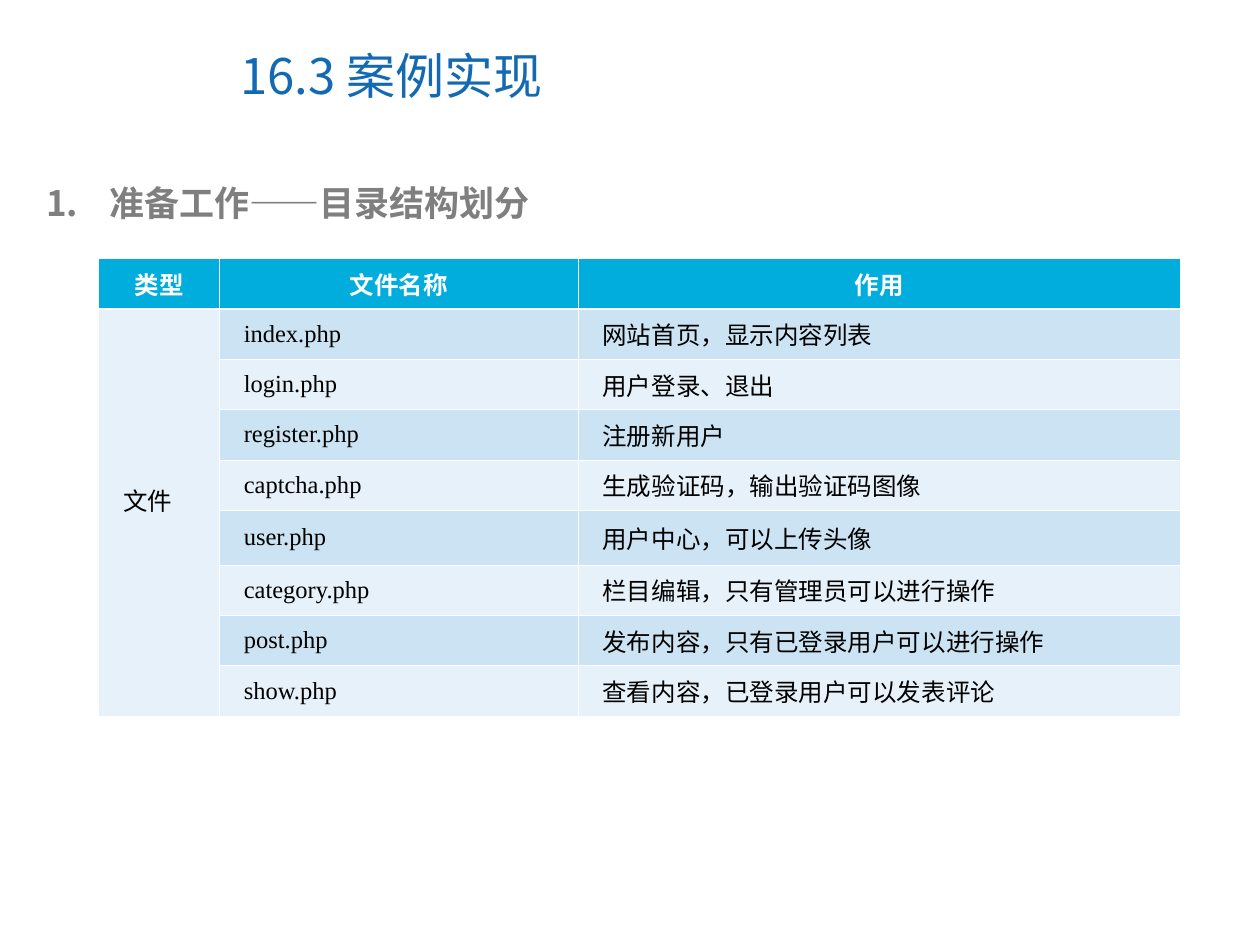
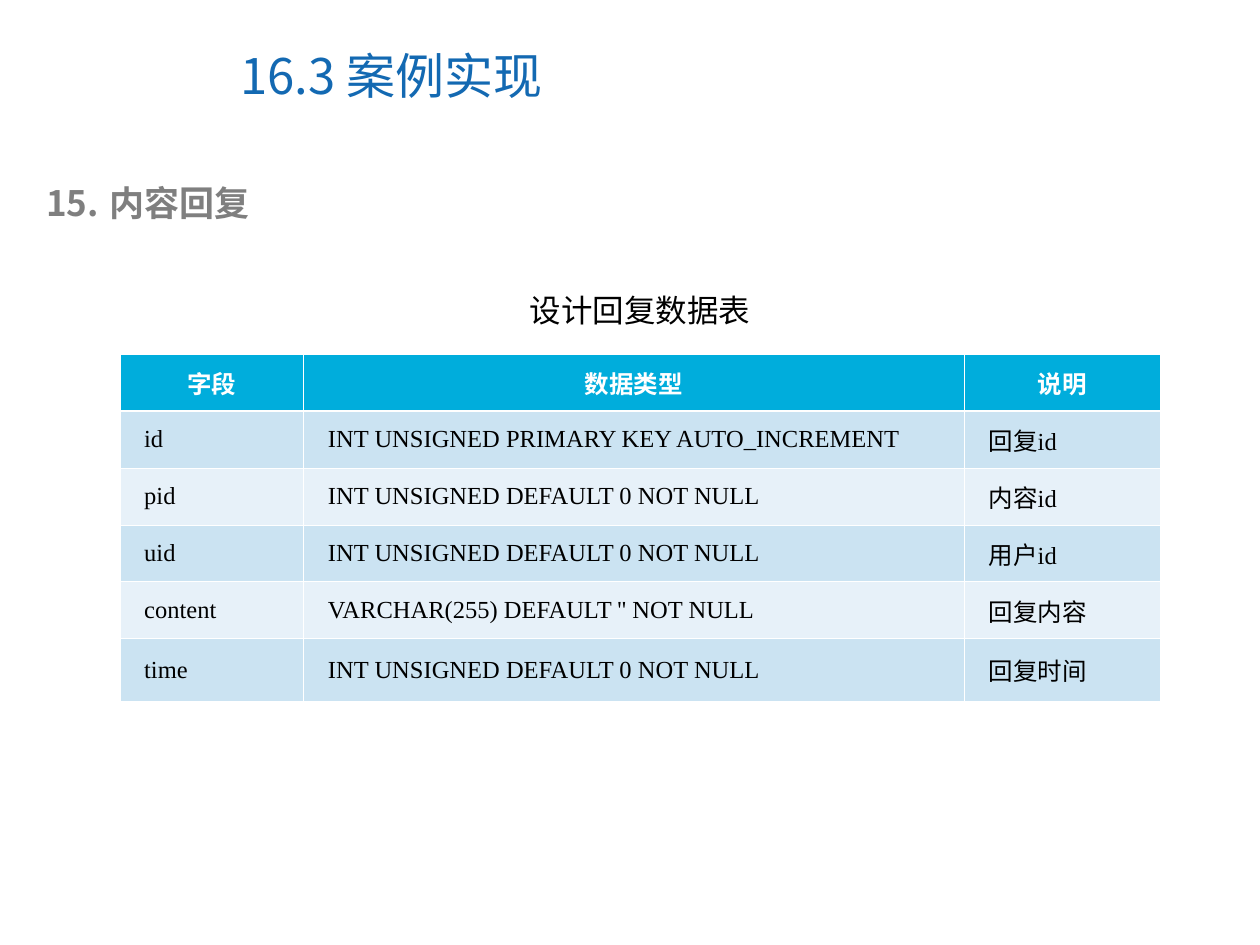
"""Build two case-study slides, each with a numbered heading and a banded table."""
from lxml import etree
from pptx import Presentation
from pptx.dml.color import RGBColor
from pptx.enum import text as t
from pptx.oxml import ns
from pptx.util import Pt

CJK, SERIF = "Noto Sans CJK SC", "Times New Roman"
WHITE, BLACK, BLUE, GREY = "FFFFFF", "000000", "1369B2", "7F7F7F"
HEADER, BANDS = "00ADDC", ("E7F1F9", "CBE3F2")
THIN, THICK = 0.45, 1.47


def color(value):
    return RGBColor.from_string(value)


def write(frame, words, size=14, font=SERIF, fill=BLACK, bold=False,
          align=None, spacing=None, indent=0, number=None):
    frame.word_wrap = True
    para = frame.paragraphs[0]
    para.alignment = align
    para.line_spacing = spacing
    properties = para._p.get_or_add_pPr()
    if indent:
        properties.set("marL", str(Pt(indent)))
    if number:
        properties.set("indent", str(-Pt(indent)))
        bullet_color = etree.SubElement(properties, ns.qn("a:buClr"))
        etree.SubElement(bullet_color, ns.qn("a:srgbClr"), val=fill)
        etree.SubElement(properties, ns.qn("a:buAutoNum"), type="arabicPeriod", startAt=str(number))
    span = para.add_run()
    span.text = words
    span.font.size, span.font.bold, span.font.name = Pt(size), bold, font
    span.font.color.rgb = color(fill)
    etree.SubElement(span._r.get_or_add_rPr(), ns.qn("a:ea"), typeface=CJK)


files = [
    ("类型", "文件名称", "作用"),
    ("文件", "index.php", "网站首页，显示内容列表"),
    (None, "login.php", "用户登录、退出"),
    (None, "register.php", "注册新用户"),
    (None, "captcha.php", "生成验证码，输出验证码图像"),
    (None, "user.php", "用户中心，可以上传头像"),
    (None, "category.php", "栏目编辑，只有管理员可以进行操作"),
    (None, "post.php", "发布内容，只有已登录用户可以进行操作"),
    (None, "show.php", "查看内容，已登录用户可以发表评论"),
]
number_type = "INT UNSIGNED DEFAULT 0 NOT NULL"
fields = [
    ("字段", "数据类型", "说明"),
    ("id", "INT UNSIGNED PRIMARY KEY AUTO_INCREMENT", "回复id"),
    ("pid", number_type, "内容id"),
    ("uid", number_type, "用户id"),
    ("content", "VARCHAR(255) DEFAULT '' NOT NULL", "回复内容"),
    ("time", number_type, "回复时间"),
]
slides = [
    dict(number=1, heading="准备工作——目录结构划分", caption=None, rows=files, left=56.4, top=147.8,
         widths=(69, 205, 344.2), height=28.75, tall_row=5, tall=31.4),
    dict(number=15, heading="内容回复", caption="设计回复数据表", rows=fields, left=68.5, top=202.3,
         widths=(105, 377.5, 112), height=32.55, tall_row=5, tall=35.8),
]

deck = Presentation()
deck.slide_width, deck.slide_height = Pt(720), Pt(540)

for content in slides:
    page = deck.slides.add_slide(deck.slide_layouts[6])

    title = page.shapes.add_textbox(Pt(130.3), Pt(12.2), Pt(371.5), Pt(61.2))
    title.text_frame.vertical_anchor = t.MSO_ANCHOR.MIDDLE
    write(title.text_frame, "16.3 案例实现", size=28, font=CJK, fill=BLUE)

    heading = page.shapes.add_textbox(Pt(19.4), Pt(100.1), Pt(663.8), Pt(31.7))
    write(heading.text_frame, content["heading"], size=20, font=CJK, fill=GREY,
          bold=True, indent=36, number=content["number"])

    rows, widths = content["rows"], content["widths"]
    heights = [content["height"]] * len(rows)
    heights[content["tall_row"]] = content["tall"]
    table = page.shapes.add_table(
        len(rows), len(widths), Pt(content["left"]), Pt(content["top"]),
        Pt(sum(widths)), Pt(sum(heights))).table
    for column, width in zip(table.columns, widths):
        column.width = Pt(width)
    for row, height in zip(table.rows, heights):
        row.height = Pt(height)

    for r, row in enumerate(rows):
        for c, words in enumerate(row):
            cell = table.cell(r, c)
            edges = {"lnL": THIN, "lnR": THIN, "lnT": THICK if r == 1 else THIN,
                     "lnB": THICK if r == 0 else THIN}
            for edge, width in edges.items():
                line = etree.SubElement(cell._tc.get_or_add_tcPr(), ns.qn(f"a:{edge}"), w=str(Pt(width)))
                solid = etree.SubElement(line, ns.qn("a:solidFill"))
                etree.SubElement(solid, ns.qn("a:srgbClr"), val=WHITE)
            cell.fill.solid()
            cell.fill.fore_color.rgb = color(HEADER if r == 0 else BANDS[r % 2])
            cell.vertical_anchor = t.MSO_ANCHOR.MIDDLE
            cell.margin_left = cell.margin_right = Pt(5.4)
            cell.margin_top = cell.margin_bottom = Pt(3.6)
            if r == 0:
                write(cell.text_frame, words, fill=WHITE, bold=True, align=t.PP_ALIGN.CENTER)
            elif words:
                write(cell.text_frame, words, align=t.PP_ALIGN.JUSTIFY, indent=8.5)

    if rows is files:
        group = table.cell(1, 0)
        group.merge(table.cell(len(rows) - 1, 0))
        group.fill.fore_color.rgb = color(BANDS[0])
        group.margin_bottom = Pt(18)

    if content["caption"]:
        caption = page.shapes.add_textbox(Pt(content["left"]), Pt(141.1), Pt(sum(widths)), Pt(50.4))
        write(caption.text_frame, content["caption"], size=18, font="Arial",
              align=t.PP_ALIGN.CENTER, spacing=2.0)

deck.save("out.pptx")
